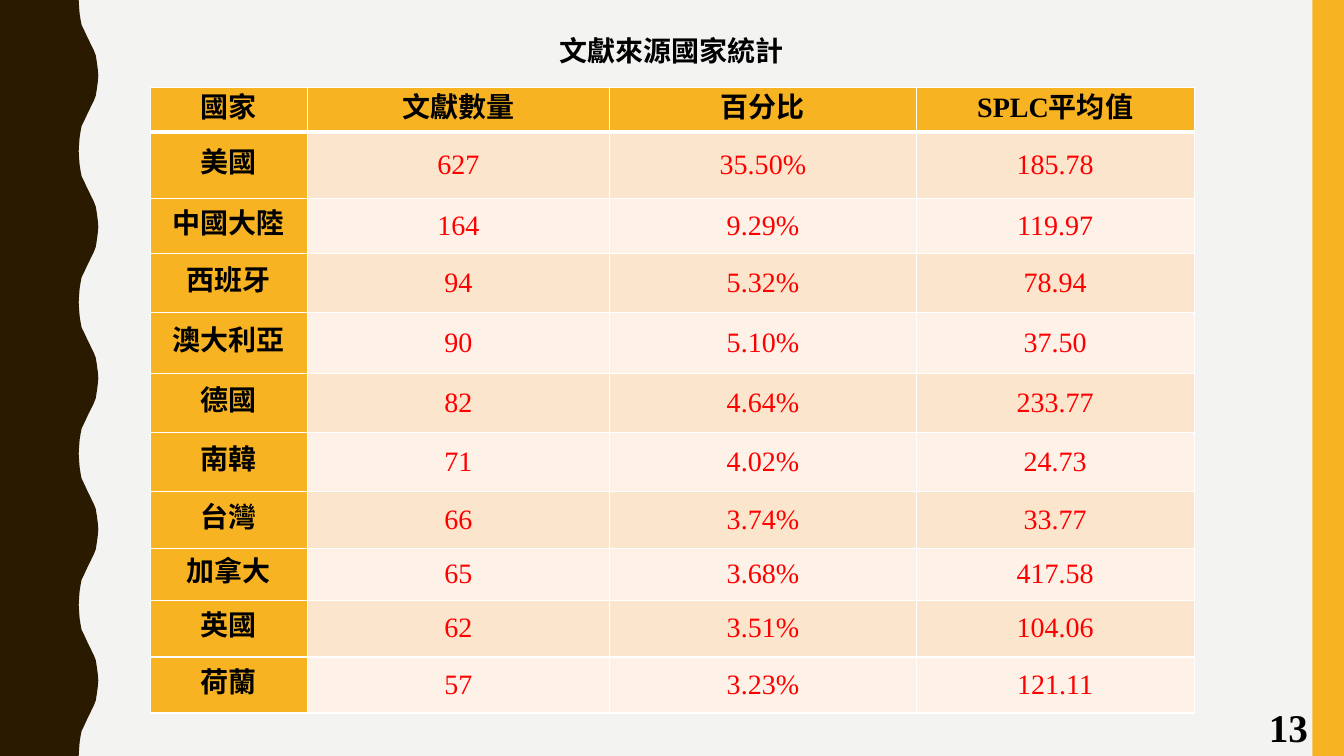
import pptx
import pptx.dml.color
import pptx.enum.shapes
import pptx.enum.text
import pptx.oxml
import pptx.oxml.ns
import pptx.util

Pt = pptx.util.Pt
ALIGN = pptx.enum.text.PP_ALIGN
ANCHOR = pptx.enum.text.MSO_ANCHOR

WIDTH, HEIGHT = 960, 540
AMBER, BROWN, PAPER = "F8B323", "2A1A00", "F3F3F2"
BANDS = ("FCE5CD", "FEF2E8")
WHITE, BLACK, RED = "FFFFFF", "000000", "FF0000"

# Half of one wave, from trough to crest; the other half mirrors it
WAVE_PERIOD = 108
HALF_WAVE = [
    (56.2, 0), (56.5, 5), (56.9, 10), (57.6, 14.4), (58.3, 18),
    (59.8, 21), (61.2, 24), (62.6, 27), (64.1, 30), (65.5, 33),
    (67, 36), (68.4, 39.6), (69.1, 44), (69.8, 49), (70.2, 54),
]

COLUMNS = [112, 216, 219, 198.5]
ROWS = [31.8, 47.5, 39.3, 42.1, 43.9, 41.8, 42.1, 40.7, 37.1, 40.7, 40]
COUNTRIES = [
    ("國家", "文獻數量", "百分比", "SPLC平均值"),
    ("美國", "627", "35.50%", "185.78"),
    ("中國大陸", "164", "9.29%", "119.97"),
    ("西班牙", "94", "5.32%", "78.94"),
    ("澳大利亞", "90", "5.10%", "37.50"),
    ("德國", "82", "4.64%", "233.77"),
    ("南韓", "71", "4.02%", "24.73"),
    ("台灣", "66", "3.74%", "33.77"),
    ("加拿大", "65", "3.68%", "417.58"),
    ("英國", "62", "3.51%", "104.06"),
    ("荷蘭", "57", "3.23%", "121.11"),
]


def rgb(value):
    return pptx.dml.color.RGBColor.from_string(value)


def apply(target, values):
    for name, value in values.items():
        setattr(target, name, value)


class Deck:
    """Holds the text style and the current slide."""

    font = {"name": "Times New Roman", "size": Pt(20), "bold": True}

    def __init__(self, prs):
        self.s = prs.slides.add_slide(prs.slide_layouts[5])
        self.paint(self.s.background, PAPER)

    def paint(self, target, color):
        target.fill.solid()
        target.fill.fore_color.rgb = rgb(color)

    def plain(self, sp, color):
        self.paint(sp, color)
        sp.line.fill.background()
        sp.shadow.inherit = False

    def fill_text(self, tf, text, color=BLACK, align=ALIGN.CENTER, spacing=None, **font):
        p = tf.paragraphs[0]
        apply(p, {"alignment": align, "line_spacing": spacing})
        r = p.add_run()
        r.text = text
        apply(r.font, {**self.font, **font})
        r.font.color.rgb = rgb(color)

    def rect(self, x, y, w, h, color):
        kind = pptx.enum.shapes.MSO_SHAPE.RECTANGLE
        self.plain(self.s.shapes.add_shape(kind, Pt(x), Pt(y), Pt(w), Pt(h)), color)

    def outline(self, points, color):
        points = [(Pt(x), Pt(y)) for x, y in points]
        builder = self.s.shapes.build_freeform(*points[0])
        builder.add_line_segments(points[1:], close=True)
        self.plain(builder.convert_to_shape(), color)

    def title(self, x, y, w, h, text):
        sp = self.s.shapes.title
        apply(sp, {"left": Pt(x), "top": Pt(y), "width": Pt(w), "height": Pt(h)})
        apply(sp.text_frame, {"word_wrap": False, "vertical_anchor": ANCHOR.TOP,
                              "auto_size": pptx.enum.text.MSO_AUTO_SIZE.NONE})
        self.fill_text(sp.text_frame, text, name="Calibri")

    def text(self, x, y, w, h, text, **style):
        tf = self.s.shapes.add_textbox(Pt(x), Pt(y), Pt(w), Pt(h)).text_frame
        tf.word_wrap = True
        self.fill_text(tf, text, **style)

    def borders(self, cell, widths):
        tc_pr = cell._tc.get_or_add_tcPr()
        for side, width in widths.items():
            tc_pr.append(pptx.oxml.parse_xml(
                f'<a:ln{side} {pptx.oxml.ns.nsdecls("a")} w="{int(Pt(width))}">'
                f'<a:solidFill><a:srgbClr val="{WHITE}"/></a:solidFill></a:ln{side}>'))

    def table(self, x, y, columns, rows, data):
        frame = self.s.shapes.add_table(len(rows), len(columns), Pt(x), Pt(y),
                                        Pt(sum(columns)), Pt(sum(rows)))
        table = frame.table
        apply(table, {"first_row": False, "horz_banding": False})
        for column, width in zip(table.columns, columns):
            column.width = Pt(width)
        for row, height in zip(table.rows, rows):
            row.height = Pt(height)
        for i, values in enumerate(data):
            for j, value in enumerate(values):
                label = i == 0 or j == 0
                cell = table.cell(i, j)
                apply(cell, {"margin_left": Pt(5), "margin_right": Pt(5),
                             "margin_top": 0, "margin_bottom": 0,
                             "vertical_anchor": ANCHOR.MIDDLE})
                self.borders(cell, {"L": 1, "R": 1, "T": 3 if i == 1 else 1,
                                    "B": 3 if i == 0 else 1})
                self.paint(cell, AMBER if label else BANDS[(i - 1) % 2])
                self.fill_text(cell.text_frame, value, BLACK if label else RED,
                               spacing=Pt(22), bold=label)


def main():
    prs = pptx.Presentation()
    apply(prs, {"slide_width": Pt(WIDTH), "slide_height": Pt(HEIGHT)})
    deck = Deck(prs)

    # Wavy left edge and right bar
    wave = HALF_WAVE + [(x, WAVE_PERIOD - y) for x, y in HALF_WAVE[-2:0:-1]]
    edge = [(x, y + n * WAVE_PERIOD)
            for n in range(HEIGHT // WAVE_PERIOD) for x, y in wave]
    deck.outline([(0, 0), *edge, (HALF_WAVE[0][0], HEIGHT), (0, HEIGHT)], BROWN)
    deck.rect(937.5, 0, 22.5, HEIGHT, AMBER)

    # Title, country table and page number
    deck.title(391.5, 20.2, 176.5, 31.5, "文獻來源國家統計")
    deck.table(107.5, 62.5, COLUMNS, ROWS, COUNTRIES)
    deck.text(899.3, 499, 46.8, 41, "13", align=ALIGN.LEFT, size=Pt(28))

    prs.save("out.pptx")


if __name__ == "__main__":
    main()
